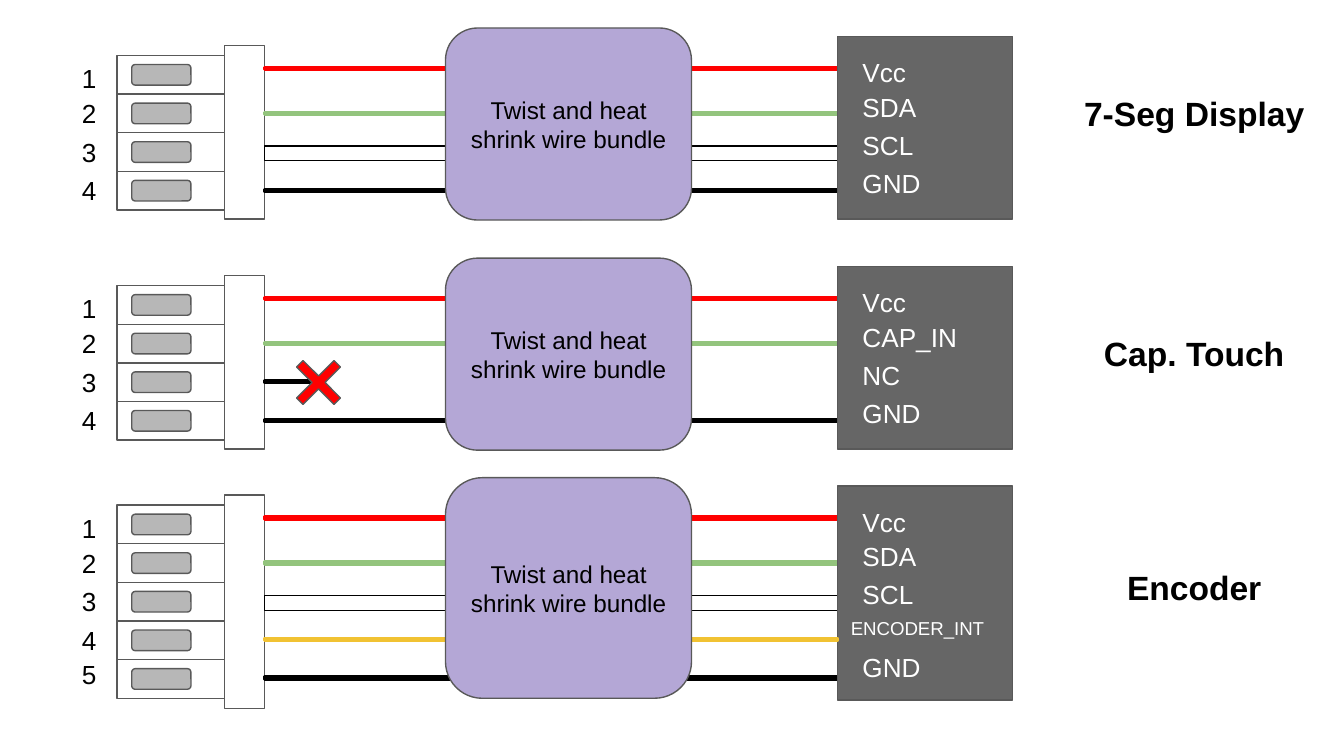
from dataclasses import dataclass

from pptx import Presentation as Deck
from pptx.dml.color import RGBColor as Color
from pptx.enum.shapes import MSO_SHAPE as Kind
from pptx.enum.text import MSO_ANCHOR as Anchor, MSO_AUTO_SIZE as Fit, PP_ALIGN as Align
from pptx.util import Cm, Pt


@dataclass(frozen=True)
class Theme:
    font: str = "Arial"
    head: int = 18
    label: int = 14
    note: int = 13
    small: int = 10
    thin: float = 0.75
    thick: float = 1.5
    black: str = "000000"
    white: str = "FFFFFF"
    edge: str = "595959"
    metal: str = "B7B7B7"
    board: str = "666666"
    wrap: str = "B4A7D6"
    red: str = "FF0000"
    green: str = "93C47D"
    yellow: str = "FFD966"
    gold: str = "F1C232"


class Sketch:
    """Holds the theme and the current slide."""

    def __init__(self, slide, theme):
        self.slide, self.theme = slide, theme

    def shape(self, kind, left, top, width, height, fill, line=None, weight=None):
        item = self.slide.shapes.add_shape(kind, Cm(left), Cm(top), Cm(width), Cm(height))
        item.shadow.inherit = False
        item.fill.solid()
        item.fill.fore_color.rgb = Color.from_string(fill)
        item.line.color.rgb = Color.from_string(line or self.theme.edge)
        item.line.width = Pt(weight or self.theme.thin)
        return item

    def letter(self, item, words, size, color, align, bold=False):
        frame = item.text_frame
        frame.word_wrap = True
        frame.margin_left = frame.margin_right = Cm(0.25)
        frame.margin_top = frame.margin_bottom = Cm(0.25)
        para = frame.paragraphs[0]
        para.text = words
        para.alignment = align
        para.font.name = self.theme.font
        para.font.size = Pt(size)
        para.font.bold = bold
        para.font.color.rgb = Color.from_string(color)
        return frame

    def text(self, words, left, top, width, height=1.12, size=None,
             color=None, align=Align.LEFT, bold=False):
        box = self.slide.shapes.add_textbox(Cm(left), Cm(top), Cm(width), Cm(height))
        frame = self.letter(box, words, size or self.theme.label,
                            color or self.theme.black, align, bold)
        frame.auto_size = Fit.SHAPE_TO_FIT_TEXT

    def wire(self, top, fill, line=None, width=10.84):
        self.shape(Kind.RECTANGLE, 5, top, width, 0.05, fill, line or fill, self.theme.thick)

    def sleeve(self, top):
        """White wire with a black outline."""
        self.shape(Kind.RECTANGLE, 5, top, 10.84, 0.28, self.theme.white, self.theme.black)

    def plug(self, top, count):
        look = self.theme
        for i in range(count):
            self.shape(Kind.RECTANGLE, 2.21, top + i * PITCH, 2.03, PITCH, look.white)
            self.shape(Kind.ROUNDED_RECTANGLE, 2.49, top + 0.17 + i * PITCH,
                       1.12, 0.39, look.metal)
            self.text(str(i + 1), 1.3, top + DIGITS[i], 0.76)
        self.shape(Kind.RECTANGLE, 4.24, top - 0.19, 0.76, 0.24 + 0.76 * count, look.white)

    def board(self, top, height, pins):
        self.shape(Kind.RECTANGLE, 15.83, top - 0.36, 3.31, height, self.theme.board)
        for name, drop, width in pins:
            self.text(name, 16.05, top + drop, width, color=self.theme.white)

    def bundle(self, top, height):
        item = self.shape(Kind.ROUNDED_RECTANGLE, 8.42, top - 0.52, 4.65, height, self.theme.wrap)
        frame = self.letter(item, "Twist and heat shrink wire bundle", self.theme.note,
                            self.theme.black, Align.CENTER)
        frame.vertical_anchor = Anchor.MIDDLE

    def head(self, words, top):
        self.text(words, 19.89, top, 5.36, 1.27, self.theme.head,
                  align=Align.CENTER, bold=True)

    def cross(self, top):
        item = self.shape(Kind.CROSS, 5.52, top, 1, 1, self.theme.red)
        item.adjustments[0] = 0.414
        item.rotation = 45


PITCH = 0.73
DIGITS = (-0.12, 0.54, 1.27, 2, 2.65)

# Board pins: name, drop, width
VCC = ("Vcc", -0.23, 1.58)
SDA = ("SDA", 0.42, 1.58)
SCL = ("SCL", 1.14, 1.75)
GND = ("GND", 1.87, 1.9)

# Units: title, top, title top, plug pins, board height, bundle height,
# ground wire drop, board pins
UNITS = (
    ("7-Seg Display", 1.05, 1.5, 4, 3.45, 3.63, 2.53, (VCC, SDA, SCL, GND)),
    ("Cap. Touch", 5.4, 6.05, 4, 3.45, 3.63, 2.53,
     (VCC, ("CAP_IN", 0.42, 2.54), ("NC", 1.14, 1.75), GND)),
    ("Encoder", 9.55, 10.46, 5, 4.04, 4.17, 3.24,
     (VCC, SDA, SCL, ("GND", 2.51, 1.9))),
)


def main():
    deck = Deck()
    deck.slide_width, deck.slide_height = Cm(25.4), Cm(14.29)
    look = Theme()
    art = Sketch(deck.slides.add_slide(deck.slide_layouts[6]), look)

    for title, top, line, count, tall, wrap, ground, pins in UNITS:
        art.plug(top, count)
        # Wires
        art.wire(top + 0.22, look.red)
        art.wire(top + 1.07, look.green)
        if SCL in pins:
            art.sleeve(top + 1.71)
        art.wire(top + ground, look.black)
        # Board, with the extra signal on the five-pin unit
        art.board(top, tall, pins)
        if count == 5:
            art.text("ENCODER_INT", 15.83, top + 1.9, 3.61, 0.94, look.small, look.white)
            art.wire(top + 2.51, look.yellow, look.gold)
        art.bundle(top, wrap)
        # Cut wire on the unit that leaves pin 3 open
        if SCL not in pins:
            art.wire(top + 1.79, look.black, width=0.99)
            art.cross(top + 1.33)
        art.head(title, line)

    deck.save("out.pptx")


if __name__ == "__main__":
    main()
